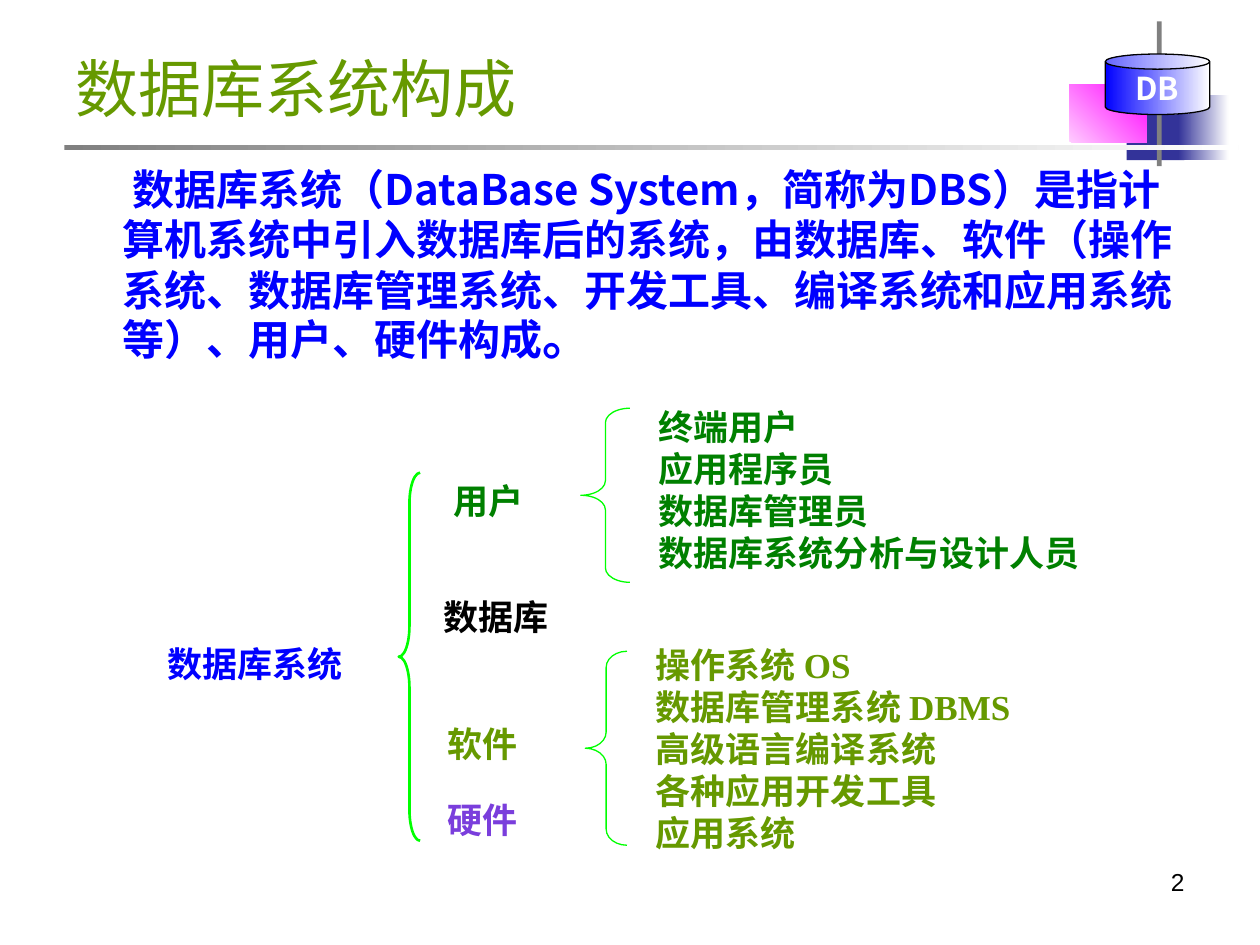
"""Build the slide on the components of a database system."""
from pptx import Presentation
from pptx.dml.color import RGBColor
from pptx.enum.shapes import MSO_SHAPE as Preset
from pptx.enum.text import MSO_ANCHOR as Anchor, MSO_AUTO_SIZE as AutoSize, PP_ALIGN as Align
from pptx.oxml.ns import qn
from pptx.util import Cm, Pt
from lxml.etree import SubElement

COLORS = {
    "olive": "669900", "blue": "0000FF", "green": "008000", "violet": "7A3EDC",
    "lime": "00FF00", "navy": "333399", "gray": "808080", "pink": "FFCCFF",
    "magenta": "FF00FF", "white": "FFFFFF", "black": "000000",
}
SANS, SERIF, PLAIN = "Noto Sans CJK SC", "Times New Roman", "Arial"


def rgb(name):
    return RGBColor.from_string(COLORS[name])


class SlideBuilder:
    """Hold the style and the current slide."""

    def __init__(self, deck):
        self.slide = deck.slides.add_slide(deck.slide_layouts[1])
        self.label_size = 20
        self.list_pitch = Pt(24)

    def run(self, paragraph, text, size, color, font=SANS, bold=False):
        run = paragraph.add_run()
        run.text = text
        run.font.size, run.font.bold, run.font.name = Pt(size), bold, font
        run.font.color.rgb = rgb(color)
        SubElement(run.font._element, qn("a:ea")).set("typeface", SANS)

    def placeholder(self, index, box, anchor):
        holder = self.slide.placeholders[index]
        holder.left, holder.top, holder.width, holder.height = map(Cm, box)
        frame = holder.text_frame
        frame.auto_size, frame.word_wrap = AutoSize.NONE, True
        frame.vertical_anchor = anchor
        paragraph = frame.paragraphs[0]
        paragraph.alignment = Align.LEFT
        return frame, paragraph

    def title(self, text, box):
        paragraph = self.placeholder(0, box, Anchor.MIDDLE)[1]
        self.run(paragraph, text, 36, "olive")

    def body(self, pieces, box):
        frame, paragraph = self.placeholder(1, box, Anchor.TOP)
        frame.margin_top = Cm(0.1)
        paragraph.line_spacing = Pt(29)
        paragraph.space_before = Pt(0)
        properties = paragraph._p.get_or_add_pPr()
        properties.set("marL", str(Cm(0.95)))
        properties.set("indent", str(Cm(0.2)))
        SubElement(properties, qn("a:buNone"))
        for text, size in pieces:
            self.run(paragraph, text, size, "blue", bold=True)

    def shape(self, preset, box, fill=None, line=None, width=0.75, angle=0):
        shape = self.slide.shapes.add_shape(preset, *map(Cm, box))
        shape.shadow.inherit = False
        if fill is None:
            shape.fill.background()
        elif isinstance(fill, tuple):
            shape.fill.gradient()
            shape.fill.gradient_angle = angle
            for stop, color in zip(shape.fill.gradient_stops, fill):
                stop.color.rgb = rgb(color)
        else:
            shape.fill.solid()
            shape.fill.fore_color.rgb = rgb(fill)
        if line:
            shape.line.color.rgb = rgb(line)
            shape.line.width = Pt(width)
        else:
            shape.line.fill.background()
        return shape

    def cylinder(self, text, box):
        can = self.shape(Preset.CAN, box, ("blue", "white"), "black")
        can.adjustments[0] = 0.25
        frame = can.text_frame
        frame.margin_left = frame.margin_right = frame.margin_top = frame.margin_bottom = 0
        frame.vertical_anchor = Anchor.MIDDLE
        paragraph = frame.paragraphs[0]
        paragraph.alignment = Align.CENTER
        self.run(paragraph, text, 18, "white", bold=True)

    def brace(self, box, width=0.75):
        brace = self.shape(Preset.LEFT_BRACE, box, line="lime", width=width)
        brace.adjustments[0] = box[3] / box[2] / 12

    def text_box(self, box):
        frame = self.slide.shapes.add_textbox(*map(Cm, box)).text_frame
        frame.word_wrap = True
        return frame

    def label(self, text, color, box):
        paragraph = self.text_box(box).paragraphs[0]
        self.run(paragraph, text, self.label_size, color, SERIF, True)

    def lines(self, rows, color, box):
        frame = self.text_box(box)
        for number, text in enumerate(rows):
            paragraph = frame.add_paragraph() if number else frame.paragraphs[0]
            paragraph.line_spacing = self.list_pitch
            self.run(paragraph, text, self.label_size, color, SERIF, True)

    def page_number(self, text, box):
        paragraph = self.text_box(box).paragraphs[0]
        paragraph.alignment = Align.RIGHT
        self.run(paragraph, text, 14, "black", PLAIN)


def main():
    deck = Presentation()
    deck.slide_width, deck.slide_height = Cm(25.4), Cm(19.05)
    page = SlideBuilder(deck)

    page.shape(Preset.RECTANGLE, (22.71, 1.91, 1.17, 1.32), "navy")
    page.shape(Preset.RECTANGLE, (23.75, 1.91, 1.02, 1.32), ("navy", "white"))
    page.shape(Preset.RECTANGLE, (21.56, 1.7, 1.55, 1.17), ("pink", "magenta"), angle=45)
    page.shape(Preset.RECTANGLE, (23.32, 0.43, 0.1, 2.92), "gray")
    page.shape(Preset.RECTANGLE, (1.3, 2.92, 23.67, 0.1), ("gray", "white"))
    page.cylinder("DB", (22.28, 1.09, 2.11, 1.22))
    page.page_number("2", (18.21, 17.35, 5.92, 1.32))

    page.title("数据库系统构成", (1.27, 0.76, 22.86, 1.98))
    page.body([
        ("数据库系统（DataBase System，简称为DBS）是指计算机系统中引入数据库后的系统，"
         "由数据库、软件（操作系统、数据库管理系统、开发工具、编译系统和应用系统等）、"
         "用户、硬件构成", 24),
        ("。", 28),
    ], (1.27, 3.18, 22.86, 4.65))

    for text, color, left, top, width in [
        ("数据库系统", "blue", 3.12, 12.83, 4.2),
        ("用户", "green", 8.89, 9.55, 2.1),
        ("数据库", "black", 8.69, 11.89, 2.8),
        ("软件", "olive", 8.78, 14.45, 2.1),
        ("硬件", "violet", 8.78, 15.98, 2.1),
    ]:
        page.label(text, color, (left, top, width, 1.12))

    page.brace((8.04, 9.53, 0.43, 7.42), 1.5)
    page.brace((11.71, 8.23, 0.99, 3.51))
    page.brace((11.8, 13.13, 0.84, 3.91))
    page.lines(["终端用户", "应用程序员", "数据库管理员", "数据库系统分析与设计人员"],
               "green", (13.03, 8.05, 9.19, 3.66))
    page.lines(["操作系统 OS", "数据库管理系统 DBMS", "高级语言编译系统",
                "各种应用开发工具", "应用系统"],
               "olive", (12.97, 12.85, 8.89, 4.5))
    deck.save("out.pptx")


if __name__ == "__main__":
    main()
